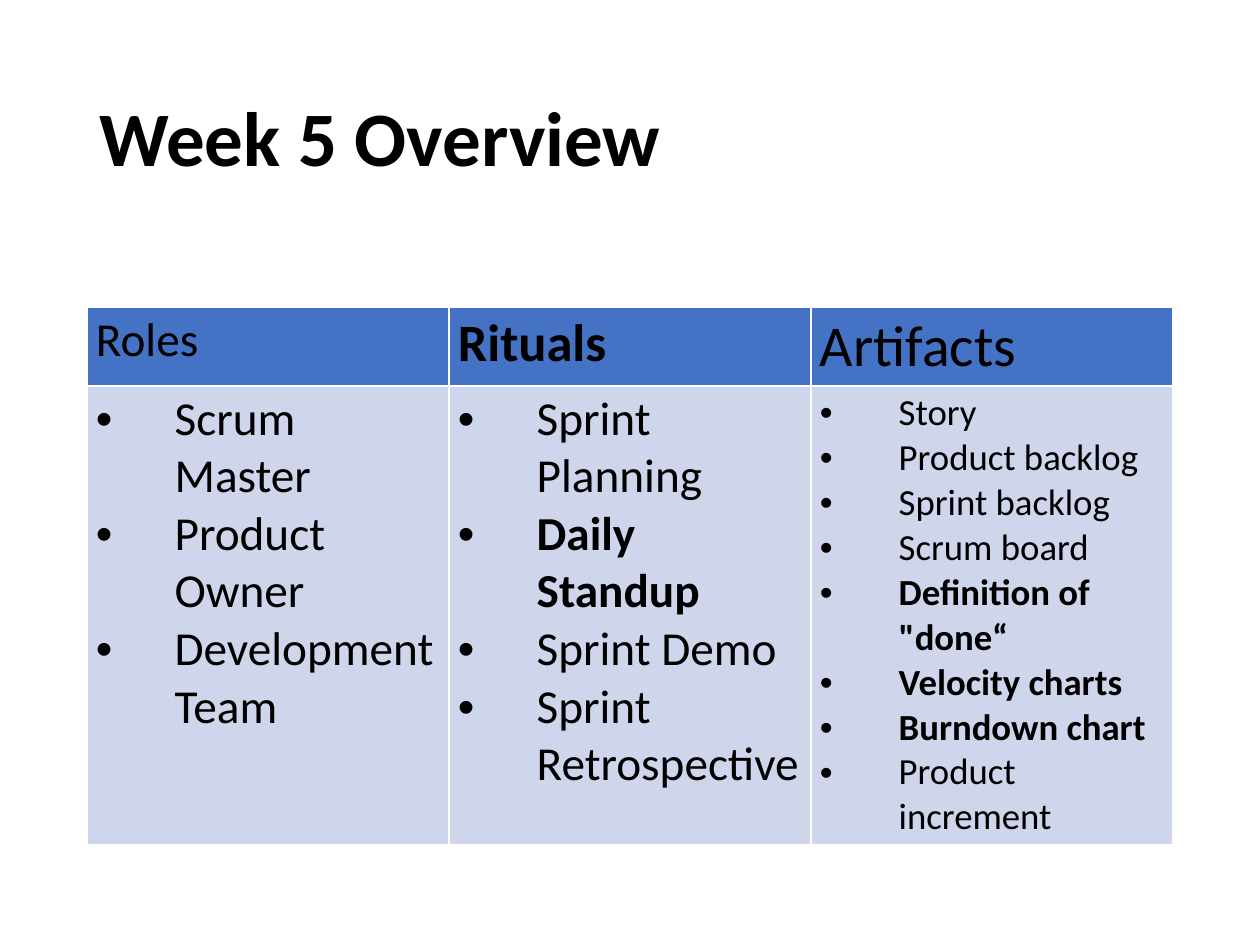
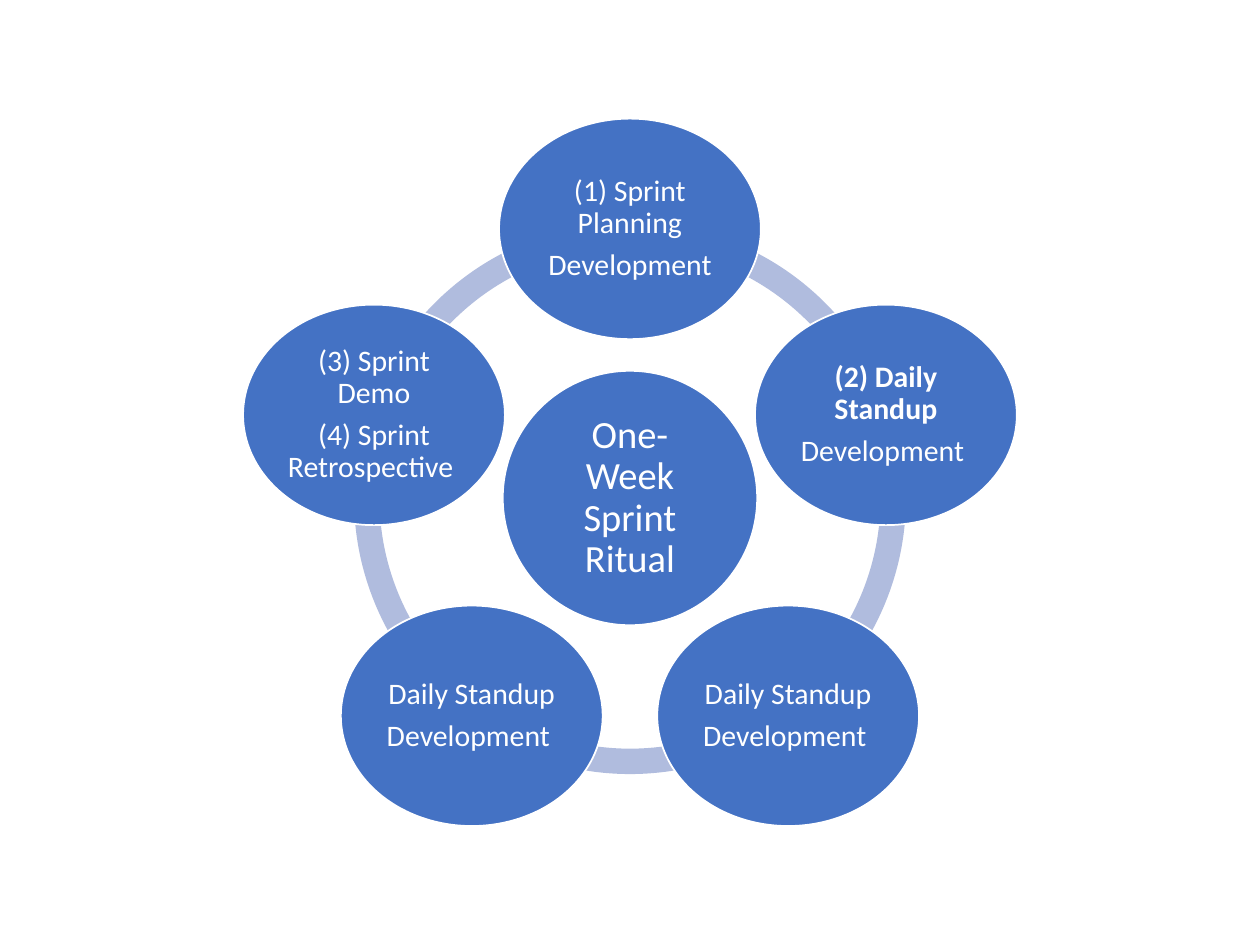
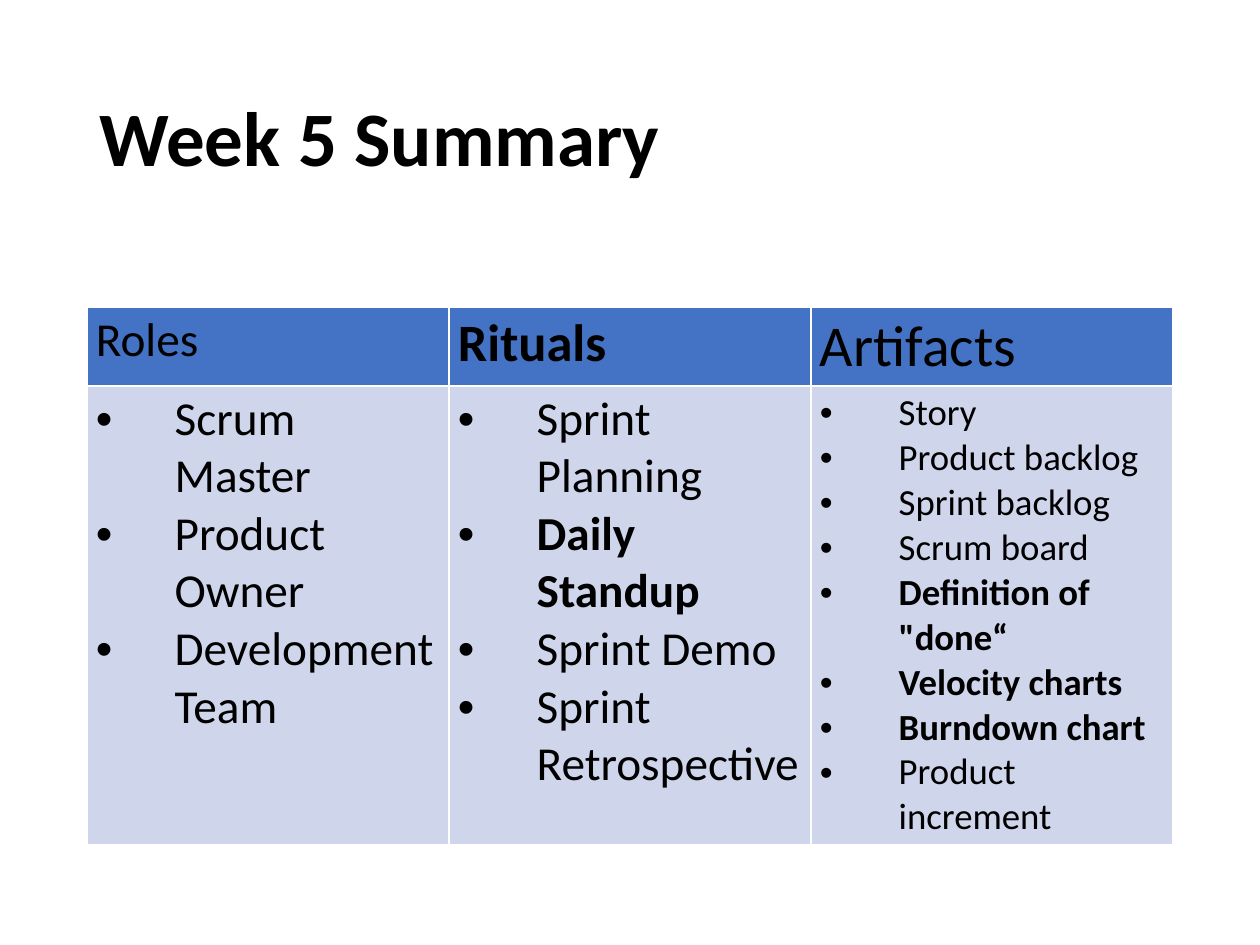
from math import cos, radians, sin

from lxml.etree import SubElement as Sub
from pptx import Presentation
from pptx.dml.color import RGBColor as Rgb
from pptx.enum.shapes import MSO_SHAPE as Kind
from pptx.enum.text import MSO_ANCHOR as Anchor, PP_ALIGN as Align
from pptx.oxml.ns import qn
from pptx.util import Pt

# Shared look
FONT = "Calibri"
HUES = {
    "ink": "000000",
    "white": "FFFFFF",
    "blue": "4472C4",
    "pale": "CFD5EA",
    "ring": "B0BCDE",
}
LEFT, WIDTH = 49.6, 620.7

# Table columns: heading, its size, its weight, item size, items (text, bold)
COLS = [
    ("Roles", 27, False, 27, [
        ("Scrum Master", False),
        ("Product Owner", False),
        ("Development Team", False),
    ]),
    ("Rituals", 30, True, 27, [
        ("Sprint Planning", False),
        ("Daily Standup", True),
        ("Sprint Demo", False),
        ("Sprint Retrospective", False),
    ]),
    ("Artifacts", 33, False, 21, [
        ("Story", False),
        ("Product backlog", False),
        ("Sprint backlog", False),
        ("Scrum board", False),
        ("Definition of \"done“", True),
        ("Velocity charts", True),
        ("Burndown chart", True),
        ("Product increment", False),
    ]),
]

# Cycle steps, clockwise from the top
STEPS = [
    [("(1) Sprint Planning", False), ("Development", False)],
    [("(2) Daily Standup", True), ("Development ", False)],
    [("Daily Standup", False), ("Development ", False)],
    [("Daily Standup", False), ("Development ", False)],
    [("(3) Sprint Demo", False), ("(4) Sprint Retrospective ", False)],
]


def color(name):
    return Rgb.from_string(HUES[name])


def paint(obj, name):
    obj.fill.solid()
    obj.fill.fore_color.rgb = color(name)


def add_run(para, text, size, hue="ink", bold=False):
    run = para.add_run()
    run.text = text
    font = run.font
    font.name, font.size, font.bold = FONT, Pt(size), bold
    font.color.rgb = color(hue)


def add_paras(frame, count):
    """Yield the first paragraph of a frame, then new ones."""
    for i in range(count):
        yield frame.add_paragraph() if i else frame.paragraphs[0]


def set_pad(obj, side, top):
    obj.margin_left = obj.margin_right = Pt(side)
    obj.margin_top = obj.margin_bottom = Pt(top)


# Title
def add_title(slide, text):
    box = slide.shapes.add_textbox(Pt(LEFT), Pt(28.8), Pt(WIDTH), Pt(104.4))
    frame = box.text_frame
    frame.word_wrap = True
    frame.vertical_anchor = Anchor.MIDDLE
    para = frame.paragraphs[0]
    para.line_spacing = 0.9
    add_run(para, text, 44, bold=True)


# Table parts
def style_cell(cell, hue):
    set_pad(cell, 5.2, 2.6)
    props = cell._tc.get_or_add_tcPr()
    for side in ("lnL", "lnR", "lnT", "lnB"):
        line = Sub(props, qn(f"a:{side}"), w=str(Pt(1)))
        fill = Sub(line, qn("a:solidFill"))
        Sub(fill, qn("a:srgbClr"), val=HUES["white"])
    paint(cell, hue)


def add_bullet(para, indent):
    props = para._p.get_or_add_pPr()
    props.set("marL", str(Pt(indent)))
    props.set("indent", str(Pt(-indent)))
    Sub(props, qn("a:buFont"), typeface="Arial")
    Sub(props, qn("a:buChar"), char="•")


def add_grid(slide):
    rows = (45, 262)
    grid = slide.shapes.add_table(
        2, len(COLS), Pt(LEFT), Pt(175.5), Pt(WIDTH), Pt(sum(rows))).table
    for row, high in zip(grid.rows, rows):
        row.height = Pt(high)
    for i, (name, big, bold, size, items) in enumerate(COLS):
        grid.columns[i].width = Pt(WIDTH / len(COLS))
        head, body = grid.cell(0, i), grid.cell(1, i)
        style_cell(head, "blue")
        style_cell(body, "pale")
        add_run(head.text_frame.paragraphs[0], name, big, bold=bold)
        paras = add_paras(body.text_frame, len(items))
        for para, (text, strong) in zip(paras, items):
            add_bullet(para, 45)
            add_run(para, text, size, bold=strong)


# Cycle parts
def add_shape(slide, kind, mid, size, hue):
    (x, y), (wide, high) = mid, size
    shape = slide.shapes.add_shape(
        kind, Pt(x - wide / 2), Pt(y - high / 2), Pt(wide), Pt(high))
    shape.shadow.inherit = False
    paint(shape, hue)
    return shape


def add_arc(slide, mid, size, start, end):
    arc = add_shape(slide, Kind.BLOCK_ARC, mid, (size, size), "ring")
    arc.line.fill.background()
    # Angles are stored in 60000ths of a degree, scaled by 100000
    for i, value in enumerate((start % 360 * 0.6, end % 360 * 0.6, 0.046)):
        arc.adjustments[i] = value


def add_oval(slide, mid, size, lines, pt, pad):
    oval = add_shape(slide, Kind.OVAL, mid, size, "blue")
    oval.line.color.rgb = color("white")
    oval.line.width = Pt(1)
    frame = oval.text_frame
    frame.word_wrap = True
    frame.vertical_anchor = Anchor.MIDDLE
    set_pad(frame, pad, pad)
    for para, (text, bold) in zip(add_paras(frame, len(lines)), lines):
        para.alignment = Align.CENTER
        para.line_spacing = 0.9
        para.space_after = Pt(round(pt * 0.35, 1))
        add_run(para, text, pt, "white", bold)


def add_cycle(slide):
    mid, reach = (360, 284.6), 153.8
    turn = 360 / len(STEPS)
    angles = [i * turn - 90 for i in range(len(STEPS))]
    for angle in angles:
        add_arc(slide, mid, 315.4, angle, angle + turn)
    add_oval(slide, mid, (145.4, 145.4),
             [("One- Week Sprint Ritual", False)], 22, 2.2)
    for angle, lines in zip(angles, STEPS):
        rad = radians(angle)
        spot = mid[0] + reach * cos(rad), mid[1] + reach * sin(rad)
        add_oval(slide, spot, (149.6, 126), lines, 17, 1.7)


def main():
    deck = Presentation()
    deck.slide_width, deck.slide_height = Pt(720), Pt(540)
    blank = deck.slide_layouts[6]
    first, cycle, last = [deck.slides.add_slide(blank) for _ in range(3)]

    # Overview and summary share one table
    for slide, text in ((first, "Week 5 Overview"), (last, "Week 5 Summary")):
        add_title(slide, text)
        add_grid(slide)
    add_cycle(cycle)
    deck.save("out.pptx")


if __name__ == "__main__":
    main()
